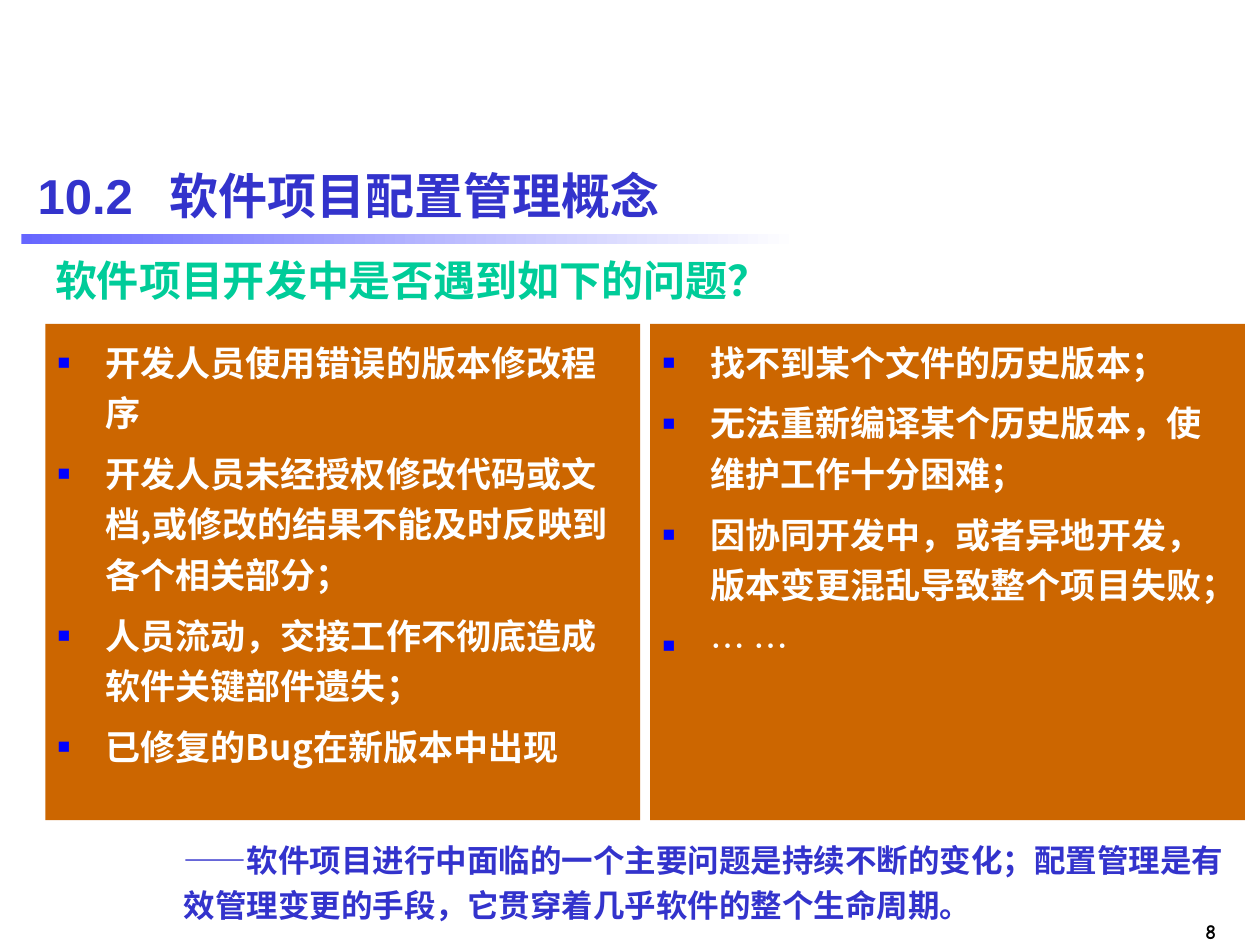
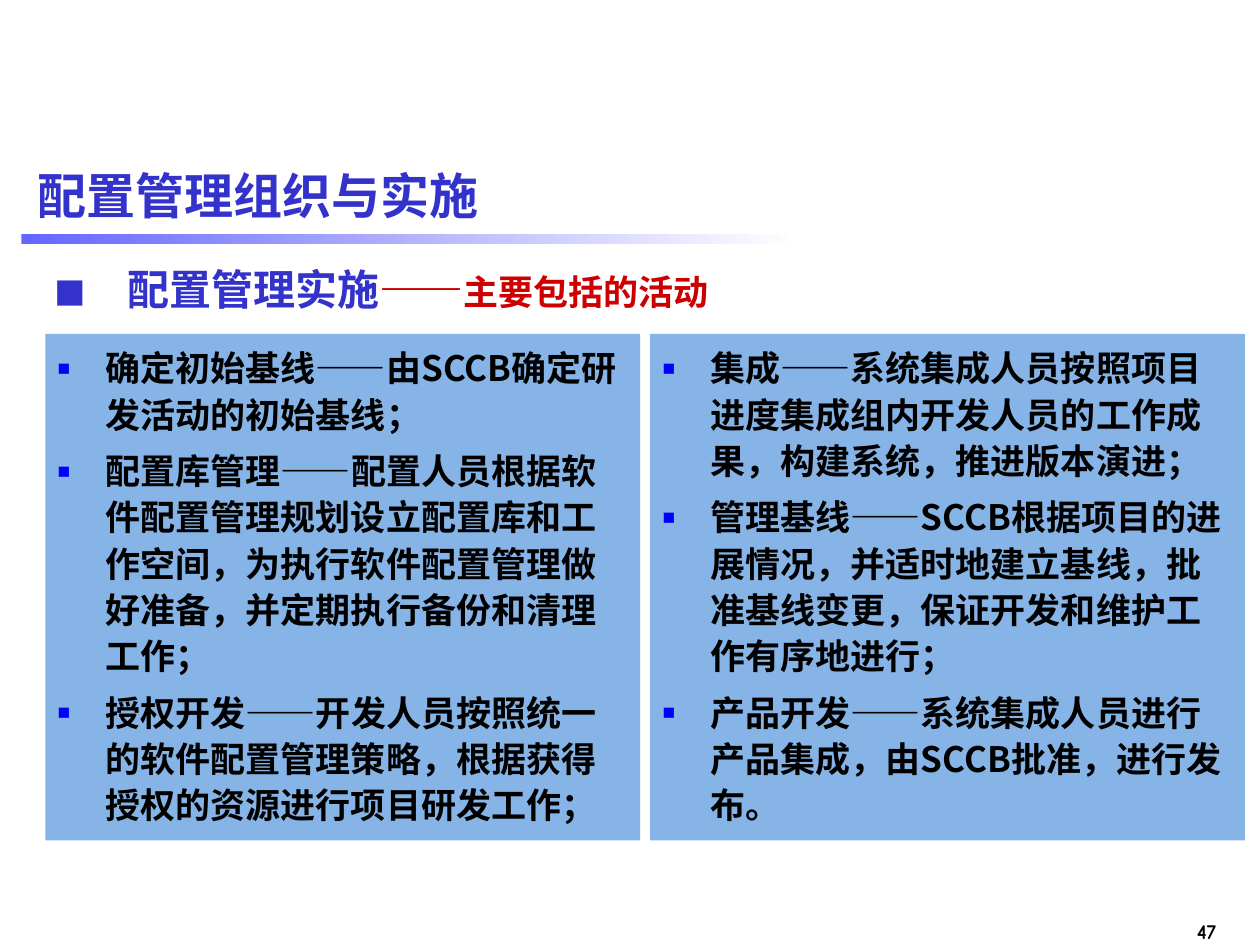
from lxml.etree import SubElement
from pptx import Presentation
from pptx.dml.color import RGBColor
from pptx.enum.shapes import MSO_SHAPE
from pptx.enum.text import MSO_ANCHOR, PP_ALIGN
from pptx.oxml.ns import qn
from pptx.util import Inches, Pt

BLUE, GREEN, RED, BLACK, WHITE = "3333CC", "00CC99", "CC0000", "000000", "FFFFFF"
BULLET_BLUE, BAND_BLUE = "0000FF", "6666FF"
BODY_FONT = "Noto Sans CJK SC"

TITLE = {"size": Pt(28), "name": "Arial", "bold": True}
HEADING = {"size": Pt(24), "name": "Arial", "bold": True}
MARKER = {"size": Pt(18), "name": "Arial", "bold": True}
ACTIVITY = {"size": Pt(20), "name": "Arial", "bold": True}
BODY = {"size": Pt(20), "name": BODY_FONT, "bold": True}
ELLIPSIS = BODY | {"bold": False}
NOTE = {"size": Pt(18), "name": BODY_FONT, "bold": True}
NUMBER = {"size": Pt(12), "name": "Comic Neue", "bold": True}

PAGES = [
    {
        "title": "10.2\t软件项目配置管理概念",
        "number": "8",
        "heading": (0, 2.02, 6.54, 0.4),
        "heading_align": PP_ALIGN.CENTER,
        "heading_spans": [("软件项目开发中是否遇到如下的问题？", HEADING, GREEN)],
        "panel_top": 2.57,
        "panel_height": 3.94,
        "panel_fill": "CC6600",
        "panel_text": WHITE,
        "line_spacing": Pt(28.8),
        "panels": [
            [
                "开发人员使用错误的版本修改程序",
                "开发人员未经授权修改代码或文档,或修改的结果不能及时反映到各个相关部分；",
                "人员流动，交接工作不彻底造成软件关键部件遗失；",
                "已修复的Bug在新版本中出现",
            ],
            [
                "找不到某个文件的历史版本；",
                "无法重新编译某个历史版本，使维护工作十分困难；",
                "因协同开发中，或者异地开发，版本变更混乱导致整个项目失败；",
                "… …",
            ],
        ],
        "note_spans": [
            ("——", MARKER, BLUE),
            ("软件项目进行中面临的一个主要问题是持续不断的变化；配置管理是有"
             "效管理变更的手段，它贯穿着几乎软件的整个生命周期。", NOTE, BLUE),
        ],
    },
    {
        "title": "配置管理组织与实施",
        "number": "47",
        "heading": (0.43, 2.09, 5.43, 0.4),
        "heading_align": PP_ALIGN.LEFT,
        "heading_spans": [
            ("■", MARKER, BLUE),
            ("　配置管理实施", HEADING, BLUE),
            ("——", HEADING, RED),
            ("主要包括的活动", ACTIVITY, RED),
        ],
        "panel_top": 2.65,
        "panel_height": 4.02,
        "panel_fill": "86B4E6",
        "panel_text": BLACK,
        "line_spacing": Pt(26.4),
        "panels": [
            [
                "确定初始基线——由SCCB确定研发活动的初始基线；",
                "配置库管理——配置人员根据软件配置管理规划设立配置库和工作空间，"
                "为执行软件配置管理做好准备，并定期执行备份和清理工作；",
                "授权开发——开发人员按照统一的软件配置管理策略，"
                "根据获得授权的资源进行项目研发工作；",
            ],
            [
                "集成——系统集成人员按照项目进度集成组内开发人员的工作成果，"
                "构建系统，推进版本演进；",
                "管理基线——SCCB根据项目的进展情况，并适时地建立基线，"
                "批准基线变更，保证开发和维护工作有序地进行；",
                "产品开发——系统集成人员进行产品集成，由SCCB批准，进行发布。",
            ],
        ],
        "note_spans": [],
    },
]


def color(value):
    return RGBColor.from_string(value)


def write(para, spans):
    for text, format_values, ink in spans:
        span = para.add_run()
        span.text = text
        for name, value in format_values.items():
            setattr(span.font, name, value)
        span.font.color.rgb = color(ink)


deck = Presentation()
deck.slide_width, deck.slide_height = Inches(10), Inches(7.5)

for content in PAGES:
    page = deck.slides.add_slide(deck.slide_layouts[6])

    band = page.shapes.add_shape(
        MSO_SHAPE.RECTANGLE, Inches(0.17), Inches(1.86), Inches(6.17), Inches(0.08))
    band.shadow.inherit = False
    band.line.fill.background()
    band.fill.gradient()
    band.fill.gradient_angle = 0
    for stop, tint in zip(band.fill.gradient_stops, (BAND_BLUE, WHITE)):
        stop.color.rgb = color(tint)

    labels = [
        ((0.2, 1.15, 9.61, 0.79), 0.1, PP_ALIGN.LEFT, MSO_ANCHOR.MIDDLE, None,
         [(content["title"], TITLE, BLUE)]),
        (content["heading"], 0, content["heading_align"], MSO_ANCHOR.TOP, None,
         content["heading_spans"]),
        ((9.2, 7.24, 0.55, 0.3), 0.1, PP_ALIGN.RIGHT, MSO_ANCHOR.TOP, None,
         [(content["number"], NUMBER, BLACK)]),
    ]
    if content["note_spans"]:
        labels.append(((1.46, 6.61, 8.43, 0.72), 0, PP_ALIGN.LEFT, MSO_ANCHOR.TOP,
                       Pt(26), content["note_spans"]))

    for place, inset, align, anchor, spacing, spans in labels:
        box = page.shapes.add_textbox(*map(Inches, place))
        frame = box.text_frame
        frame.word_wrap = True
        frame.vertical_anchor = anchor
        frame.margin_left = frame.margin_right = Inches(inset)
        frame.margin_top = frame.margin_bottom = Inches(inset / 2)
        para = frame.paragraphs[0]
        para.alignment = align
        para.line_spacing = spacing
        if "\t" in spans[0][0]:
            tabs = SubElement(para._p.get_or_add_pPr(), qn("a:tabLst"))
            SubElement(tabs, qn("a:tab"), pos=str(Inches(1.05)), algn="l")
        write(para, spans)

    for column, items in enumerate(content["panels"]):
        panel = page.shapes.add_shape(
            MSO_SHAPE.RECTANGLE, Inches(0.36 + 4.8 * column), Inches(content["panel_top"]),
            Inches(4.72), Inches(content["panel_height"]))
        panel.shadow.inherit = False
        panel.line.fill.background()
        panel.fill.solid()
        panel.fill.fore_color.rgb = color(content["panel_fill"])
        frame = panel.text_frame
        frame.word_wrap = True
        frame.vertical_anchor = MSO_ANCHOR.TOP
        frame.margin_top = Inches(0.07)
        for index, item in enumerate(items):
            para = frame.add_paragraph() if index else frame.paragraphs[0]
            properties = para._p.get_or_add_pPr()
            properties.set("marL", str(Inches(0.38)))
            properties.set("indent", str(-Inches(0.38)))
            bullet_color = SubElement(properties, qn("a:buClr"))
            SubElement(bullet_color, qn("a:srgbClr"), val=BULLET_BLUE)
            SubElement(properties, qn("a:buSzPct"), val="60000")
            SubElement(properties, qn("a:buFont"), typeface="Arial")
            SubElement(properties, qn("a:buChar"), char="■")
            para.alignment = PP_ALIGN.LEFT
            para.line_spacing = content["line_spacing"]
            para.space_before = Pt(6 if index else 0)
            style = ELLIPSIS if item == "… …" else BODY
            write(para, [(item, style, content["panel_text"])])

deck.save("out.pptx")
